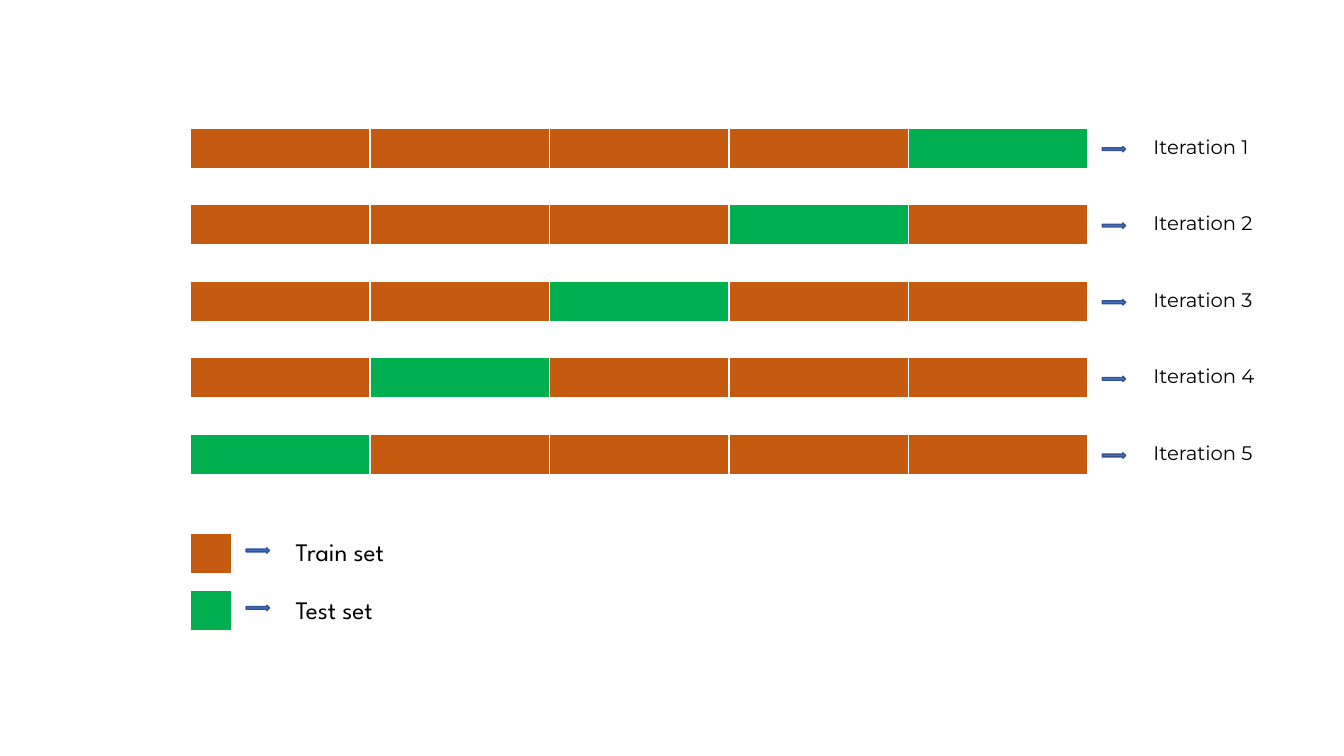
from dataclasses import dataclass

from lxml import etree
from pptx import Presentation
from pptx.dml.color import RGBColor
from pptx.enum.shapes import MSO_SHAPE
from pptx.enum.text import MSO_AUTO_SIZE
from pptx.oxml.ns import qn
from pptx.slide import Slide
from pptx.util import Inches, Pt

RIGHT_ARROW = MSO_SHAPE.RIGHT_ARROW
GROW_TO_TEXT = MSO_AUTO_SIZE.SHAPE_TO_FIT_TEXT

TRAIN = RGBColor(0xC5, 0x5A, 0x11)
TEST = RGBColor(0x00, 0xB0, 0x50)
WHITE = RGBColor(0xFF, 0xFF, 0xFF)
BLACK = RGBColor(0x00, 0x00, 0x00)
ARROW_FILL = RGBColor(0x44, 0x72, 0xC4)
ARROW_LINE = RGBColor(0x32, 0x54, 0x91)

ITERATION_FONT = {"name": "Montserrat", "size": Pt(14)}
LEGEND_FONT = {"name": "League Spartan", "size": Pt(18)}

# Border tags of a table cell with their widths in points
BORDERS = {"a:lnL": 1, "a:lnR": 1, "a:lnT": 1, "a:lnB": 3}

FOLDS = 5
LEGEND_ROW = 5.29  # grid row of the first legend entry
LEGEND_STEP = 0.75  # grid rows between legend entries


@dataclass
class FoldChart:
    """Draws on one slide, with places given in grid columns and rows."""

    slide: Slide
    left: float = 1.89
    top: float = 1.27
    column: float = 1.78
    row: float = 0.76

    def place(self, column, row, columns, rows):
        """Turn a grid area into left, top, width and height."""
        return (Inches(self.left + column * self.column),
                Inches(self.top + row * self.row),
                Inches(columns * self.column),
                Inches(rows * self.row))

    def bar(self, row, colors, columns=1):
        """Add a one-row table with a filled cell for each colour."""
        area = self.place(0, row, columns * len(colors), 0.54)
        table = self.slide.shapes.add_table(1, len(colors), *area).table
        table.first_row = table.horz_banding = False
        for cell, color in zip(table.iter_cells(), colors):
            self.border(cell)
            cell.fill.solid()
            cell.fill.fore_color.rgb = color

    def border(self, cell):
        """Draw white borders around a table cell."""
        properties = cell._tc.get_or_add_tcPr()
        for tag, width in BORDERS.items():
            line = etree.SubElement(properties, qn(tag), w=str(Pt(width)))
            fill = etree.SubElement(line, qn("a:solidFill"))
            etree.SubElement(fill, qn("a:srgbClr"), val=str(WHITE))

    def arrow(self, column, row):
        """Add a small arrow that points to a label."""
        area = self.place(column, row, 0.13, 0.07)
        arrow = self.slide.shapes.add_shape(RIGHT_ARROW, *area)
        arrow.shadow.inherit = False
        arrow.fill.solid()
        arrow.fill.fore_color.rgb = ARROW_FILL
        arrow.line.color.rgb = ARROW_LINE
        arrow.line.width = Pt(1)

    def label(self, column, row, text, font):
        """Add a one-line label in the given font."""
        area = self.place(column, row, 0.72, 0.45)
        frame = self.slide.shapes.add_textbox(*area).text_frame
        frame.word_wrap = False
        frame.auto_size = GROW_TO_TEXT
        span = frame.paragraphs[0].add_run()
        span.text = text
        span.font.color.rgb = BLACK
        for name, value in font.items():
            setattr(span.font, name, value)


def main():
    """Build the cross-validation slide and save it."""
    deck = Presentation()
    deck.slide_width, deck.slide_height = Inches(13.33), Inches(7.5)
    chart = FoldChart(deck.slides.add_slide(deck.slide_layouts[6]))

    for fold in range(FOLDS):
        colors = [TRAIN] * FOLDS
        colors[FOLDS - 1 - fold] = TEST
        chart.bar(fold, colors)
        chart.arrow(5.08, fold + 0.24)
        chart.label(5.31, fold + 0.02, f"Iteration {fold + 1}", ITERATION_FONT)

    for entry, (text, color) in enumerate([("Train set", TRAIN), ("Test set", TEST)]):
        row = LEGEND_ROW + entry * LEGEND_STEP
        chart.bar(row, [color], columns=0.23)
        chart.arrow(0.31, row + 0.19)
        chart.label(0.53, row - 0.02, text, LEGEND_FONT)

    deck.save("out.pptx")


main()
